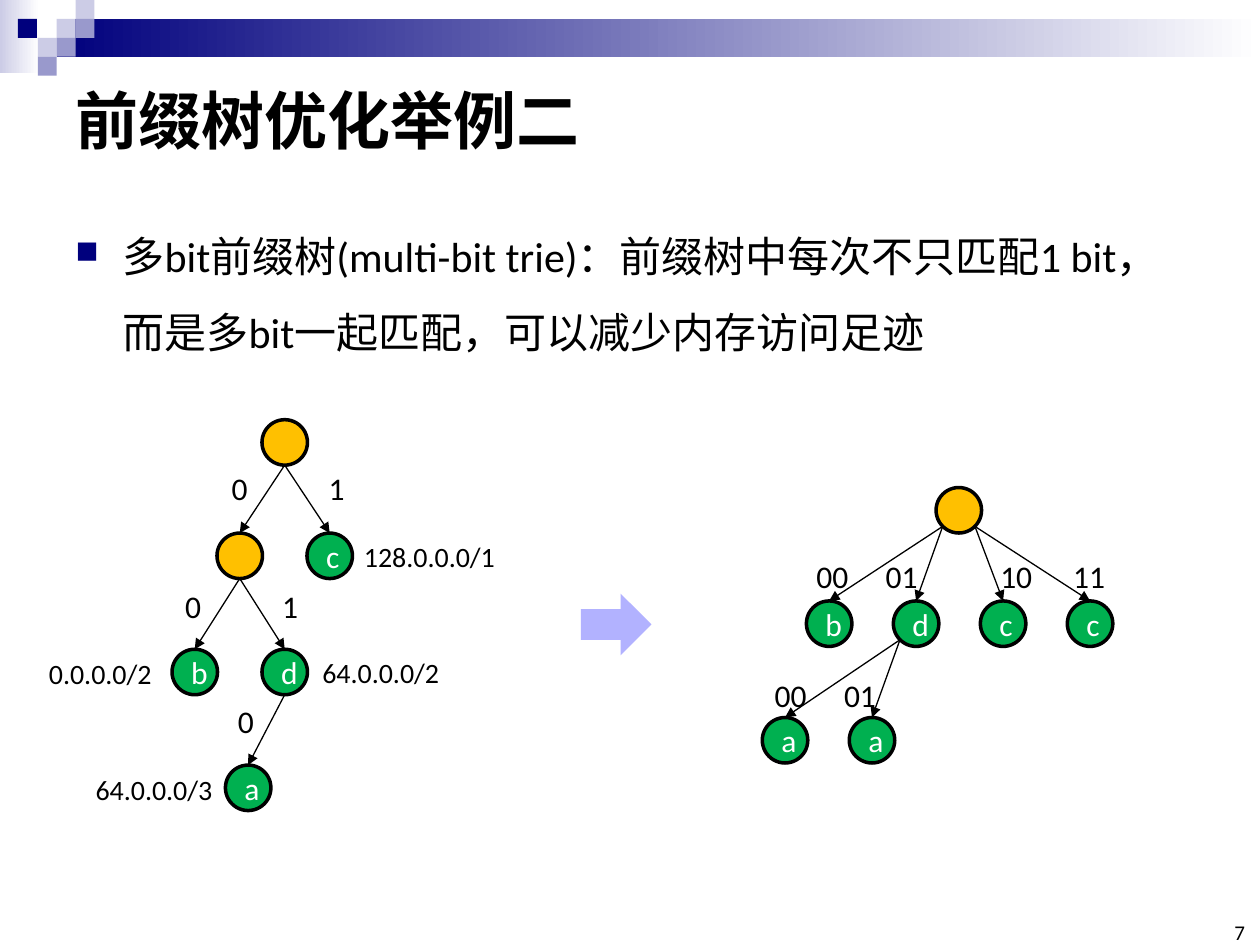
import dataclasses

import lxml.etree
import pptx
import pptx.dml.color
import pptx.enum.shapes
import pptx.enum.text
import pptx.oxml.ns
import pptx.util

Pt = pptx.util.Pt
RGB = pptx.dml.color.RGBColor.from_string
KIND = pptx.enum.shapes.MSO_SHAPE
ALIGN = pptx.enum.text.PP_ALIGN
ANCHOR = pptx.enum.text.MSO_ANCHOR


@dataclasses.dataclass(frozen=True)
class Theme:
    font: str = "Calibri"
    ink: str = "000000"
    white: str = "FFFFFF"
    navy: str = "00007D"
    mid: str = "9999CC"
    pale: str = "CCCCE6"
    arrow: str = "B2B2FF"
    empty: str = "FFC000"
    leaf: str = "00B050"
    title: int = 36
    body: int = 24
    label: int = 18
    route: int = 16
    page: int = 12
    ring: float = 2
    edge: float = 0.75
    node: float = 26


T = Theme()


def add_xml(parent, tag, **attrs):
    return lxml.etree.SubElement(parent, pptx.oxml.ns.qn(tag), attrs)


def add_run(para, text, size, color=T.ink, bold=False):
    run = para.add_run()
    run.text = text
    run.font.name = T.font
    run.font.size = Pt(size)
    run.font.bold = bold
    run.font.color.rgb = RGB(color)


def add_text(shapes, box, text, size, wrap=False, bold=False):
    frame = shapes.add_textbox(*map(Pt, box)).text_frame
    frame.word_wrap = wrap
    add_run(frame.paragraphs[0], text, size, bold=bold)
    return frame


def add_shape(shapes, kind, box, *colors):
    """One colour gives a plain fill, two give a gradient to the right."""
    shape = shapes.add_shape(kind, *map(Pt, box))
    shape.shadow.inherit = False
    shape.line.fill.background()
    if len(colors) == 1:
        shape.fill.solid()
        shape.fill.fore_color.rgb = RGB(colors[0])
    else:
        shape.fill.gradient()
        shape.fill.gradient_angle = 0
        for stop, color in zip(shape.fill.gradient_stops, colors):
            stop.color.rgb = RGB(color)
    return shape


def add_band(slide, box):
    """Gradient bar with a mosaic of small squares at its left."""
    left, top, width, _ = box
    shapes = slide.shapes.add_group_shape().shapes
    cell = 10.8
    add_shape(shapes, KIND.RECTANGLE, (left, top, 22.4, 42), T.pale, T.white)
    bar = (left + 3 * cell, top + cell, width - 3 * cell, 2 * cell)
    add_shape(shapes, KIND.RECTANGLE, bar, T.navy, T.white)
    mosaic = [(3, 1, T.pale), (4, 0, T.pale), (4, 1, T.mid), (2, 2, T.pale),
              (0.95, 1, T.navy), (3, 2, T.mid), (2, 3, T.mid)]
    for col, row, color in mosaic:
        spot = (left + (col - 0) * cell, top + row * cell, cell, cell)
        add_shape(shapes, KIND.RECTANGLE, spot, color)


def add_title(slide, box):
    frame = add_text(slide.shapes, box, "前缀树优化举例二", T.title, True, True)
    frame.vertical_anchor = ANCHOR.MIDDLE


def add_body(slide, box):
    text = "多bit前缀树(multi-bit trie)：前缀树中每次不只匹配1 bit，而是多bit一起匹配，可以减少内存访问足迹"
    para = add_text(slide.shapes, box, text, T.body, True).paragraphs[0]
    para.line_spacing = 1.5
    # Square bullet with a hanging indent
    props = para._p.get_or_add_pPr()
    props.set("marL", str(Pt(27)))
    props.set("indent", str(-Pt(27)))
    add_xml(add_xml(props, "a:buClr"), "a:srgbClr", val=T.navy)
    add_xml(props, "a:buSzPct", val="75000")
    add_xml(props, "a:buChar", char="■")


def add_node(shapes, left, top, text):
    box = (left - T.node / 2, top, T.node, T.node)
    node = add_shape(shapes, KIND.OVAL, box, T.leaf if text else T.empty)
    node.line.color.rgb = RGB(T.ink)
    node.line.width = Pt(T.ring)
    if text:
        frame = node.text_frame
        frame.vertical_anchor = ANCHOR.MIDDLE
        frame.paragraphs[0].alignment = ALIGN.CENTER
        add_run(frame.paragraphs[0], text, T.label, T.white)
    return node


def add_edge(shapes, start, child):
    line = shapes.add_connector(pptx.enum.shapes.MSO_CONNECTOR.STRAIGHT,
                                *map(Pt, start), child.left, child.top)
    line.end_connect(child, 0)
    line.line.color.rgb = RGB(T.ink)
    line.line.width = Pt(T.edge)
    add_xml(line.line._get_or_add_ln(), "a:tailEnd", type="triangle")
    add_xml(line._element.spPr, "a:effectLst")


def add_tree(slide, box, nodes, edges, bits, routes=()):
    """Nodes are (centre, top, text); an edge leaves at side -1, 0 or 1."""
    left, top, _, _ = box
    shapes = slide.shapes.add_group_shape().shapes
    ovals = [add_node(shapes, left + x, top + y, text) for x, y, text in nodes]
    half = T.node / 2
    for parent, child, side in edges:
        x, y, _ = nodes[parent]
        drop = half * (0.71 if side else 1)
        start = (left + x + side * half * 0.71, top + y + half + drop)
        add_edge(shapes, start, ovals[child])
    for x, y, text in bits:
        wide = 14.4 + 9.2 * len(text)
        add_text(shapes, (left + x, top + y, wide, 29), text, T.label)
    for x, y, wide, text in routes:
        add_text(shapes, (left + x, top + y, wide, 26.6), text, T.route)


def add_plain(slide, box):
    """Trie that matches one bit at each step."""
    rows = [0, 64.8, 131.2, 197.4]
    mid, step = 141.8, 25.7
    nodes = [(mid, rows[0], ""), (mid - step, rows[1], ""),
             (mid + step, rows[1], "c"), (mid - 2 * step, rows[2], "b"),
             (mid, rows[2], "d"), (mid - 20.9, rows[3], "a")]
    edges = [(0, 1, 0), (0, 2, 0), (1, 3, 0), (1, 4, 0), (4, 5, 0)]
    bits = [(104.4, 24.5, "0"), (159.8, 24.5, "1"), (77.8, 92.2, "0"),
            (133.2, 92.2, "1"), (108, 157.7, "0")]
    routes = [(180, 64.8, 90, "128.0.0.0/1"), (156.2, 131, 82, "64.0.0.0/2"),
              (0, 131.8, 74.2, "0.0.0.0/2"), (26.6, 198, 82, "64.0.0.0/3")]
    add_tree(slide, box, nodes, edges, bits, routes)


def add_multi(slide, box):
    """Trie that matches two bits at each step."""
    step = 49.7
    nodes = [(112.3, 0, "")]
    nodes += [(38.2 + i * step, 64.8, text) for i, text in enumerate("bdcc")]
    nodes += [(13 + i * step, 131.4, "a") for i in range(2)]
    edges = [(0, 1, -1), (0, 2, -1), (0, 3, 1), (0, 4, 1),
             (2, 5, -1), (2, 6, -1)]
    bits = [(23.8, 36, "00"), (63.4, 36, "01"), (128.9, 36, "10"),
            (170.6, 36, "11"), (0, 104.4, "00"), (39.6, 104.4, "01")]
    add_tree(slide, box, nodes, edges, bits)


def add_page(slide, box):
    frame = add_text(slide.shapes, box, "7", T.page, True)
    frame.margin_left = frame.margin_right = 0
    frame.margin_top = frame.margin_bottom = 0
    frame.vertical_anchor = ANCHOR.BOTTOM
    frame.paragraphs[0].alignment = ALIGN.RIGHT


def main():
    deck = pptx.Presentation()
    deck.slide_width, deck.slide_height = Pt(720), Pt(540)
    slide = deck.slides.add_slide(deck.slide_layouts[6])
    add_band(slide, (0, 0, 720, 43.2))
    add_title(slide, (36, 36, 648, 64))
    add_body(slide, (36, 113.8, 648, 99.4))
    add_page(slide, (694.8, 527.8, 16.6, 12.2))
    add_plain(slide, (20.9, 239.8, 270, 224))
    add_multi(slide, (435.6, 278.6, 204, 158))
    add_shape(slide.shapes, KIND.RIGHT_ARROW, (332, 339.2, 40.3, 35.3), T.arrow)
    deck.save("out.pptx")


if __name__ == "__main__":
    main()
